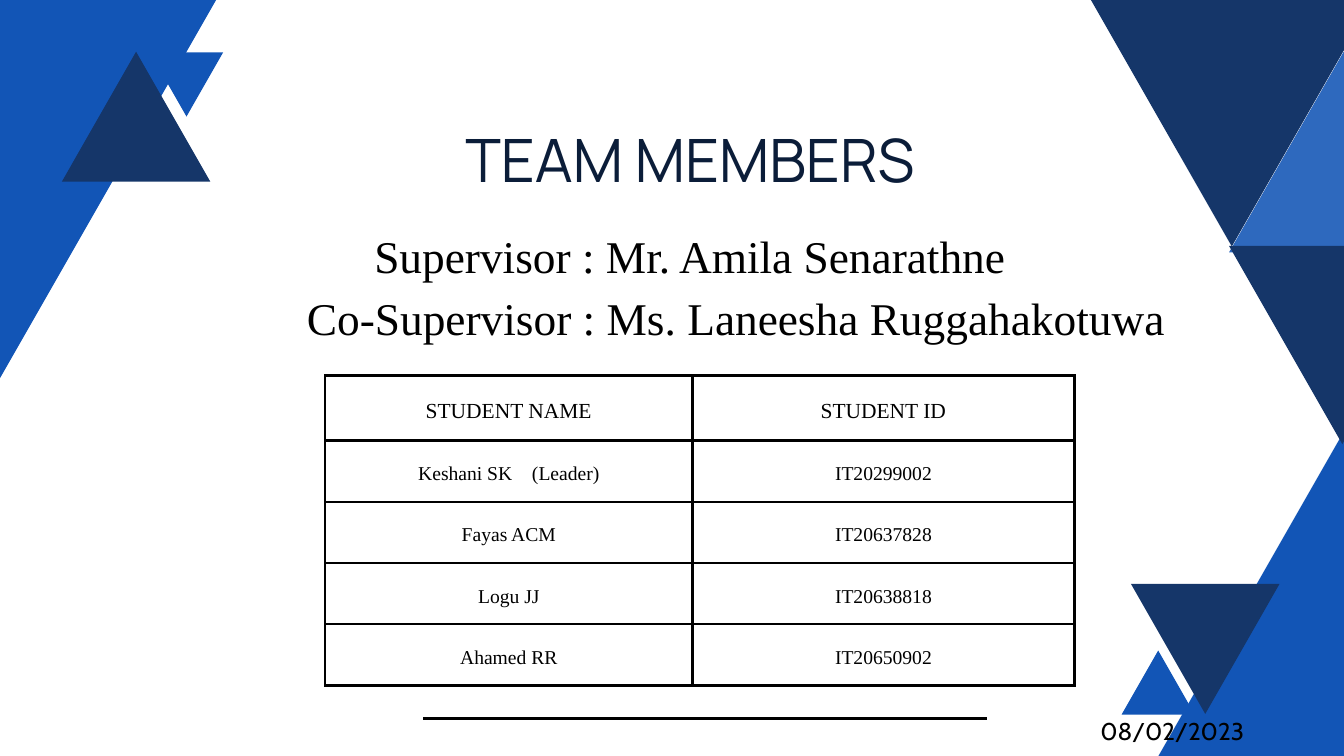
from collections import namedtuple

from lxml import etree
from pptx import Presentation
from pptx.dml.color import RGBColor
from pptx.enum.shapes import MSO_CONNECTOR, MSO_SHAPE
from pptx.enum.text import MSO_ANCHOR, PP_ALIGN
from pptx.oxml.ns import qn
from pptx.util import Inches, Pt

STRAIGHT = MSO_CONNECTOR.STRAIGHT
TRIANGLE = MSO_SHAPE.ISOSCELES_TRIANGLE
CENTER = PP_ALIGN.CENTER
TOP = MSO_ANCHOR.TOP
MIDDLE = MSO_ANCHOR.MIDDLE

COLUMNS, ROWS = 20, 11.25
SLIDE_WIDTH, SLIDE_HEIGHT = Inches(20), Inches(11.25)
TITLE_ONLY = 5
RULE_WIDTH = Pt(3)
TRIANGLE_RATIO = 0.875
SERIF = "Times New Roman"
COLORS = {
    "white": "FFFFFF",
    "black": "000000",
    "blue": "1255B6",
    "navy": "153669",
    "title": "0B1D39",
}

Box = namedtuple("Box", "left top width height")

TRIANGLES = [
    (16.87, 6.05, 6.68, "blue", False, 100),
    (-3.35, -0.2, 6.68, "blue", True, 100),
    (18.29, 0.77, 3.41, "blue", False, 88),
    (18.29, 3.66, 3.37, "navy", True, 100),
    (16.12, -0.2, 4.42, "navy", True, 100),
    (0.92, 0.77, 2.21, "navy", False, 100),
    (16.83, 8.69, 2.21, "navy", True, 100),
    (2.23, 0.78, 1.09, "blue", True, 100),
    (16.69, 9.68, 1.09, "blue", False, 100),
]
MEMBERS = [
    ("STUDENT NAME", "STUDENT ID"),
    ("Keshani SK (Leader)", "IT20299002"),
    ("Fayas ACM", "IT20637828"),
    ("Logu JJ", "IT20638818"),
    ("Ahamed RR", "IT20650902"),
]


def grid_box(left, top, width, height):
    column, row = SLIDE_WIDTH / COLUMNS, SLIDE_HEIGHT / ROWS
    return Box(int(left * column), int(top * row), int(width * column), int(height * row))


def color(name):
    return RGBColor.from_string(COLORS[name])


def format_run(run, size, font, color_name):
    run.font.size = Pt(size)
    run.font.name = font
    run.font.bold = False
    run.font.color.rgb = color(color_name)


def format_paragraph(paragraph, size, spacing, font=SERIF, color_name="black"):
    paragraph.alignment = CENTER
    paragraph.line_spacing = Pt(spacing)
    for run in paragraph.runs:
        format_run(run, size, font, color_name)


def fill_text(shape, text, *style):
    frame = shape.text_frame
    frame.word_wrap = True
    frame.vertical_anchor = TOP
    frame.margin_left = frame.margin_right = frame.margin_top = frame.margin_bottom = 0
    frame.text = text
    format_paragraph(frame.paragraphs[0], *style)


def add_triangle(slide, box, color_name, points_down, opacity):
    shape = slide.shapes.add_shape(TRIANGLE, *box)
    shape.shadow.inherit = False
    shape.rotation = 180 if points_down else 0
    shape.line.fill.background()
    shape.fill.solid()
    shape.fill.fore_color.rgb = color(color_name)
    if opacity < 100:
        hue = shape.fill._xPr.find(".//" + qn("a:srgbClr"))
        etree.SubElement(hue, qn("a:alpha"), val=str(opacity * 1000))


def add_decoration(slide):
    for left, top, width, color_name, points_down, opacity in TRIANGLES:
        box = grid_box(left, top, width, width * TRIANGLE_RATIO)
        add_triangle(slide, box, color_name, points_down, opacity)


def add_bottom_rule(slide, box):
    rule = slide.shapes.add_connector(
        STRAIGHT, box.left, box.top, box.left + box.width, box.top + box.height
    )
    rule.line.color.rgb = color("black")
    rule.line.width = RULE_WIDTH
    etree.SubElement(rule._element.spPr, qn("a:effectLst"))


def add_title(slide, box):
    title = slide.shapes.title
    title.left, title.top, title.width, title.height = box
    fill_text(title, "TEAM MEMBERS", 64, 76.2, "Manrope", "title")


def add_text(slide, box, text, *style):
    fill_text(slide.shapes.add_textbox(*box), text, *style)


def add_borders(cell):
    properties = cell._tc.get_or_add_tcPr()
    for position, side in enumerate(("a:lnL", "a:lnR", "a:lnT", "a:lnB")):
        border = etree.Element(qn(side), w=str(RULE_WIDTH))
        fill = etree.SubElement(border, qn("a:solidFill"))
        etree.SubElement(fill, qn("a:srgbClr"), val=COLORS["black"])
        properties.insert(position, border)


def widen_leader_gap(paragraph):
    name, role = paragraph.text.split(" (")
    paragraph.text = name
    gap = paragraph.add_run()
    gap.text = " "
    gap.font._element.set("spc", "1575")
    paragraph.add_run().text = "(" + role


def format_cell(cell, text, size, spacing):
    cell.fill.background()
    cell.vertical_anchor = MIDDLE
    cell.margin_left = cell.margin_right = Inches(0.21)
    cell.margin_top = cell.margin_bottom = Inches(0.21)
    add_borders(cell)
    paragraph = cell.text_frame.paragraphs[0]
    paragraph.text = text
    if "(" in text:
        widen_leader_gap(paragraph)
    format_paragraph(paragraph, size, spacing)


def add_member_table(slide, box):
    table = slide.shapes.add_table(len(MEMBERS), len(MEMBERS[0]), *box).table
    table.first_row = table.horz_banding = False
    table.columns[0].width = int(box.width * 0.49)
    table.columns[1].width = box.width - table.columns[0].width
    header_height = int(box.height * 0.21)
    for index, member in enumerate(MEMBERS):
        is_header = index == 0
        body_height = (box.height - header_height) // (len(MEMBERS) - 1)
        table.rows[index].height = header_height if is_header else body_height
        style = (23, 32.2) if is_header else (21, 29.4)
        for cell, text in zip(table.rows[index].cells, member):
            format_cell(cell, text, *style)


def build_team_slide(presentation):
    slide = presentation.slides.add_slide(presentation.slide_layouts[TITLE_ONLY])
    slide.background.fill.solid()
    slide.background.fill.fore_color.rgb = color("white")
    add_bottom_rule(slide, grid_box(6.3, 10.69, 8.39, 0))
    add_decoration(slide)
    add_member_table(slide, grid_box(4.84, 5.59, 11.15, 4.61))
    add_title(slide, grid_box(6.49, 1.84, 7.55, 1.1))
    add_text(slide, grid_box(4.14, 3.4, 12.25, 0.86),
             "Supervisor : Mr. Amila Senarathne", 48.6, 57.8)
    add_text(slide, grid_box(3.6, 4.33, 14.7, 0.86),
             "Co-Supervisor : Ms. Laneesha Ruggahakotuwa", 48.6, 57.8)
    add_text(slide, grid_box(16.31, 10.58, 2.27, 0.51), "08/02/2023", 26, 36.4, "Cabin")


def main():
    presentation = Presentation()
    presentation.slide_width = SLIDE_WIDTH
    presentation.slide_height = SLIDE_HEIGHT
    build_team_slide(presentation)
    presentation.save("out.pptx")


if __name__ == "__main__":
    main()
